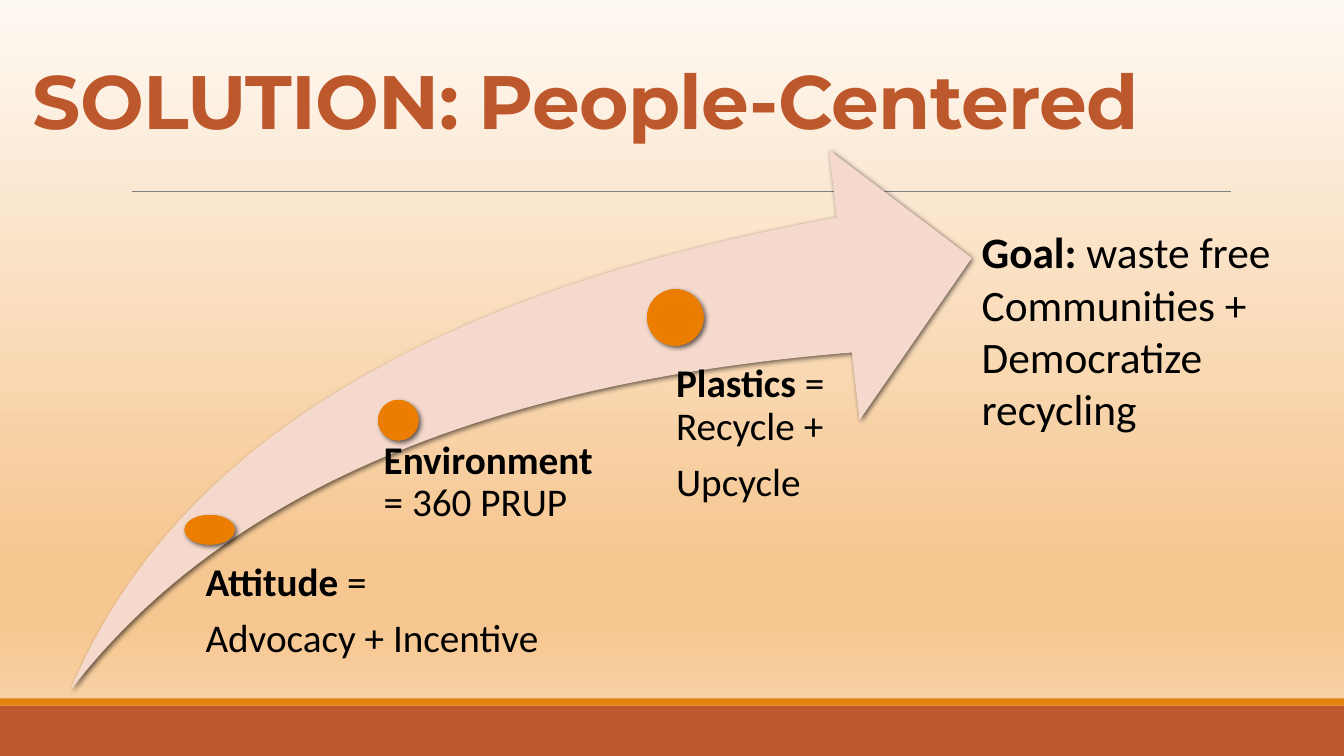
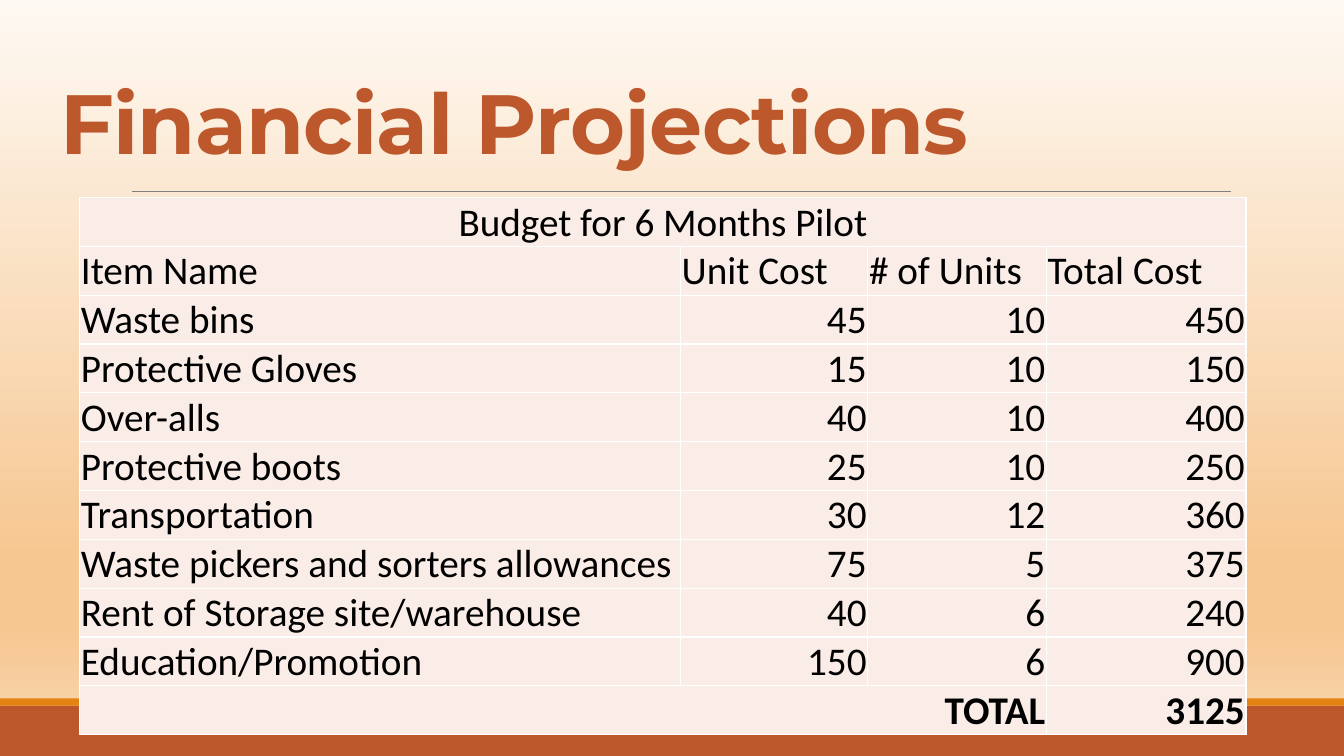
import dataclasses
import typing

import lxml.etree
import pptx
import pptx.dml.color
import pptx.dml.fill
import pptx.enum.shapes
import pptx.enum.text
import pptx.oxml.ns
import pptx.slide
import pptx.util

Cm = pptx.util.Cm
Pt = pptx.util.Pt
qn = pptx.oxml.ns.qn
KIND = pptx.enum.shapes.MSO_SHAPE
ALIGN = pptx.enum.text.PP_ALIGN
ANCHOR = pptx.enum.text.MSO_ANCHOR

# Shared look
RUST, AMBER, GREY, BLACK, WHITE = "BD582C", "E48312", "808080", "000000", "FFFFFF"
BLUSH, PALE = "F5D9CC", "FAEDE7"
BODY, HEAD = "Calibri", "Montserrat"
WIDE, HIGH = 33.87, 19.05
SKY = [(0, "FEF9F3"), (74, "F6C791"), (83, "F6C791"), (100, "F9DAB6")]
GLOW = [(0, "E57B00"), (34, "E87D00"), (70, "EB7E00"), (100, "EF8407")]


@dataclasses.dataclass
class Box:
    left: float
    top: float
    width: float
    height: float

    def cm(self) -> list:
        return [Cm(v) for v in dataclasses.astuple(self)]


@dataclasses.dataclass
class Line:
    bold: str
    plain: str


@dataclasses.dataclass
class Step:
    dot: Box
    note: Box
    inset: float
    lines: list[Line]


@dataclasses.dataclass
class Item:
    name: str
    cost: int
    units: int

    def total(self) -> int:
        return self.cost * self.units


STEPS = [
    Step(Box(4.65, 12.98, 1.27, 0.74), Box(4.88, 14.17, 9.58, 2.69), 0.3,
         [Line("Attitude", " ="), Line("", "Advocacy + Incentive")]),
    Step(Box(9.53, 10.08, 1.02, 1.02), Box(9.14, 11.1, 6.45, 3.15), 0.53,
         [Line("Environment", " = 360 PRUP")]),
    Step(Box(16.31, 7.29, 1.42, 1.42), Box(16.28, 9.17, 6.65, 3.86), 0.76,
         [Line("Plastics", " = Recycle +"), Line("", "Upcycle")]),
]
GOAL = [Line("Goal: ", "waste free"), Line("", "Communities +"),
        Line("", "Democratize recycling")]
ITEMS = [
    Item("Waste bins", 45, 10),
    Item("Protective Gloves", 15, 10),
    Item("Over-alls", 40, 10),
    Item("Protective boots", 25, 10),
    Item("Transportation", 30, 12),
    Item("Waste pickers and sorters allowances", 75, 5),
    Item("Rent of Storage site/warehouse", 40, 6),
    Item("Education/Promotion", 150, 6),
]
COLS = [15.14, 4.72, 4.5, 5.03]


# Helpers
def hue(code: str) -> pptx.dml.color.RGBColor:
    return pptx.dml.color.RGBColor.from_string(code)


def add(node: typing.Any, tag: str, **attrs: object) -> typing.Any:
    return lxml.etree.SubElement(node, qn(tag), {k: str(v) for k, v in attrs.items()})


def tint(node: typing.Any, code: str) -> typing.Any:
    return add(node, "a:srgbClr", val=code)


def blend(fill: pptx.dml.fill.FillFormat, root: typing.Any,
          stops: list[tuple[int, str]], round: bool = False) -> None:
    fill.gradient()
    fill.gradient_angle = 270
    grad = next(root.iter(qn("a:gradFill")))
    band = grad.find(qn("a:gsLst"))
    for old in list(band):
        band.remove(old)
    for pos, code in stops:
        tint(add(band, "a:gs", pos=pos * 1000), code)
    if round:
        grad.remove(grad.find(qn("a:lin")))
        ring = add(grad, "a:path", path="circle")
        add(ring, "a:fillToRect", l=100000, t=100000, r=100000, b=100000)


def form(slide: pptx.slide.Slide, kind: KIND, box: Box, code: str) -> typing.Any:
    shape = slide.shapes.add_shape(kind, *box.cm())
    shape.shadow.inherit = False
    shape.fill.solid()
    shape.fill.fore_color.rgb = hue(code)
    shape.line.fill.background()
    return shape


def shade(shape: typing.Any, blur: float) -> None:
    glow = shape.element.spPr.find(qn("a:effectLst"))
    drop = add(glow, "a:outerShdw", blurRad=Pt(blur), dist=Pt(2), dir=45 * 60000,
               algn="tl", rotWithShape=0)
    add(tint(drop, BLACK), "a:alpha", val=60000)


def style(run: typing.Any, size: float, bold: bool = False,
          face: str = BODY, code: str = BLACK) -> None:
    run.font.name = face
    run.font.size = Pt(size)
    run.font.bold = bold
    run.font.color.rgb = hue(code)


def write(slide: pptx.slide.Slide, box: Box, lines: list[Line], size: float) -> typing.Any:
    frame = slide.shapes.add_textbox(*box.cm()).text_frame
    frame.word_wrap = True
    for at, line in enumerate(lines):
        para = frame.add_paragraph() if at else frame.paragraphs[0]
        for text, bold in ((line.bold, True), (line.plain, False)):
            if text:
                run = para.add_run()
                run.text = text
                style(run, size, bold)
    return frame


# Parts on every slide
def start(deck: typing.Any, title: str, box: Box, size: float) -> pptx.slide.Slide:
    slide = deck.slides.add_slide(deck.slide_layouts[6])
    form(slide, KIND.RECTANGLE, Box(0, 17.78, WIDE, 1.27), RUST)
    form(slide, KIND.RECTANGLE, Box(0, 17.6, WIDE, 0.18), AMBER)
    rule = slide.shapes.add_connector(pptx.enum.shapes.MSO_CONNECTOR.STRAIGHT,
                                      Cm(3.33), Cm(4.82), Cm(31.01), Cm(4.82))
    rule.line.color.rgb = hue(GREY)
    rule.line.width = Pt(0.5)
    add(rule.element.spPr, "a:effectLst")

    frame = write(slide, box, [Line(title, "")], size)
    frame.vertical_anchor = ANCHOR.BOTTOM
    para = frame.paragraphs[0]
    para.line_spacing = 0.85
    run = para.runs[0]
    style(run, size, True, HEAD, RUST)
    run.font._element.set("spc", "-50")
    return slide


# Slide 1: arrow with three steps
def growth(deck: typing.Any) -> None:
    slide = start(deck, "SOLUTION: People-Centered", Box(0.58, 0.69, 30.1, 3.1), 54)
    arrow = form(slide, KIND.SWOOSH_ARROW, Box(1.78, 3.78, 22.71, 13.61), BLUSH)
    arrow.adjustments[0] = arrow.adjustments[1] = 0.25
    shade(arrow, 3)
    for step in STEPS:
        dot = form(slide, KIND.OVAL, step.dot, AMBER)
        blend(dot.fill, dot.element.spPr, GLOW, round=True)
        shade(dot, 3.5)
        frame = write(slide, step.note, step.lines, 28)
        frame.margin_left = Cm(step.inset)
        frame.margin_top = frame.margin_right = frame.margin_bottom = 0
        for para in frame.paragraphs:
            para.line_spacing = 0.9
            para.space_after = Pt(9.8)
    goal = write(slide, Box(24.49, 5.56, 8.69, 5.56), GOAL, 31)
    goal.auto_size = pptx.enum.text.MSO_AUTO_SIZE.SHAPE_TO_FIT_TEXT


# Slide 2: budget table
def edge(cell: typing.Any) -> None:
    props = cell._tc.get_or_add_tcPr()
    for side in ("a:lnL", "a:lnR", "a:lnT", "a:lnB"):
        tint(add(add(props, side, w=Pt(1)), "a:solidFill"), WHITE)


def fill(cell: typing.Any, text: str, align: ALIGN, bold: bool) -> None:
    edge(cell)
    cell.fill.solid()
    cell.fill.fore_color.rgb = hue(PALE)
    cell.vertical_anchor = ANCHOR.BOTTOM
    cell.margin_left = cell.margin_right = cell.margin_top = Cm(0.03)
    cell.margin_bottom = 0
    para = cell.text_frame.paragraphs[0]
    para.text = text
    para.alignment = align
    para.font.size = Pt(28)
    for run in para.runs:
        style(run, 28, bold)


def budget(deck: typing.Any) -> None:
    slide = start(deck, "Financial Projections", Box(1.27, 0.89, 26.31, 3.56), 60)
    rows = [["Budget for 6 Months Pilot", "", "", ""],
            ["Item Name", "Unit Cost", "# of Units", "Total Cost"]]
    rows += [[i.name, str(i.cost), str(i.units), str(i.total())] for i in ITEMS]
    rows.append(["TOTAL", "", "", str(sum(i.total() for i in ITEMS))])
    last, tall = len(rows) - 1, 1.23
    box = Box(2.01, 4.98, sum(COLS), tall * len(rows))
    table = slide.shapes.add_table(len(rows), len(COLS), *box.cm()).table
    table.first_row = table.horz_banding = False
    for col, width in zip(table.columns, COLS):
        col.width = Cm(width)
    table.cell(0, 0).merge(table.cell(0, 3))
    table.cell(last, 0).merge(table.cell(last, 2))
    for r, row in enumerate(rows):
        table.rows[r].height = Cm(tall)
        for c, text in enumerate(row):
            if r == 0:
                align = ALIGN.CENTER
            elif r == last or (r > 1 and c > 0):
                align = ALIGN.RIGHT
            else:
                align = ALIGN.LEFT
            fill(table.cell(r, c), text, align, r == last)


def main() -> None:
    deck = pptx.Presentation()
    deck.slide_width, deck.slide_height = Cm(WIDE), Cm(HIGH)
    base = deck.slide_master
    blend(base.background.fill, base.element, SKY)
    growth(deck)
    budget(deck)
    deck.save("out.pptx")


if __name__ == "__main__":
    main()
